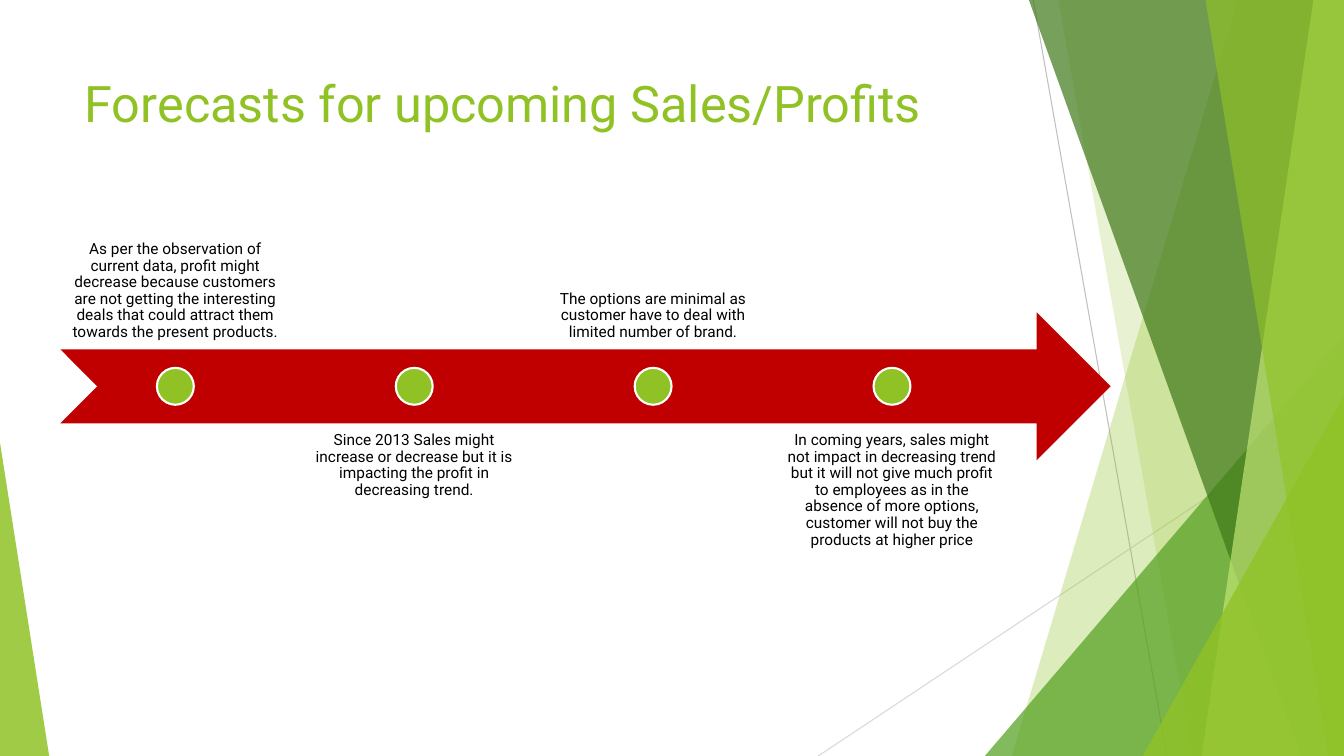
from lxml import etree
from pptx import Presentation
from pptx.dml.color import RGBColor
from pptx.enum.shapes import MSO_CONNECTOR, MSO_SHAPE
from pptx.enum.text import MSO_ANCHOR, MSO_AUTO_SIZE, PP_ALIGN
from pptx.oxml.ns import qn
from pptx.util import Cm, Pt

STRAIGHT = MSO_CONNECTOR.STRAIGHT
TRIANGLE = MSO_SHAPE.ISOSCELES_TRIANGLE
NOTCHED_ARROW = MSO_SHAPE.NOTCHED_RIGHT_ARROW
OVAL = MSO_SHAPE.OVAL
TOP, BOTTOM = MSO_ANCHOR.TOP, MSO_ANCHOR.BOTTOM
LEFT, CENTER = PP_ALIGN.LEFT, PP_ALIGN.CENTER
NO_AUTOFIT = MSO_AUTO_SIZE.NONE

LIME = RGBColor(0x90, 0xC2, 0x26)
PALE_LIME = RGBColor(0xC0, 0xE4, 0x74)
GREEN = RGBColor(0x54, 0xA0, 0x21)
DARK_GREEN = RGBColor(0x3F, 0x78, 0x19)
RED = RGBColor(0xC0, 0x00, 0x00)
BLACK = RGBColor(0, 0, 0)
WHITE = RGBColor(0xFF, 0xFF, 0xFF)
GRAY = RGBColor(0xBF, 0xBF, 0xBF)
LIGHT_GRAY = RGBColor(0xD9, 0xD9, 0xD9)

WIDTH, HEIGHT = 33.87, 19.05  # cm

FORECASTS = [
    "As per the observation of current data, profit might decrease because customers are not "
    "getting the interesting deals that could attract them towards the present products.",
    "Since 2013 Sales might increase or decrease but it is impacting the profit in "
    "decreasing trend.",
    "The options are minimal as customer have to deal with limited number of brand.",
    "In coming years, sales might not impact in decreasing trend but it will not give much "
    "profit to employees as in the absence of more options, customer will not buy the "
    "products at higher price",
]


class ForecastSlide:
    font = "Roboto"

    def __init__(self, slide):
        self.slide = slide
        self.shapes = slide.shapes

    def paint(self, shape, color, opacity=100, outline=None):
        """Fill a shape, with opacity in percent, and outline it or not."""
        shape.shadow.inherit = False
        shape.fill.solid()
        shape.fill.fore_color.rgb = color
        if opacity < 100:
            srgb = shape._element.spPr.find(qn("a:solidFill")).find(qn("a:srgbClr"))
            etree.SubElement(srgb, qn("a:alpha"), val=str(opacity * 1000))
        if outline is None:
            shape.line.fill.background()
        else:
            shape.line.color.rgb = outline
            shape.line.width = Pt(1.5)

    def set_text(self, frame, text, size, color, align, **frame_format):
        for name, value in frame_format.items():
            setattr(frame, name, value)
        frame.text = text
        paragraph = frame.paragraphs[0]
        paragraph.alignment = align
        font = paragraph.runs[0].font
        font.color.rgb = color
        for name, value in {"name": self.font, "size": Pt(size)}.items():
            setattr(font, name, value)
        return paragraph

    def title(self, text, *box):
        title = self.shapes.title
        title.left, title.top, title.width, title.height = map(Cm, box)
        self.set_text(title.text_frame, text, 36, LIME, LEFT, word_wrap=True,
                      auto_size=NO_AUTOFIT, vertical_anchor=TOP)

    def line(self, x1, y1, x2, y2, color):
        line = self.shapes.add_connector(STRAIGHT, Cm(x1), Cm(y1), Cm(x2), Cm(y2))
        line.line.color.rgb = color
        line.line.width = Pt(0.75)
        etree.SubElement(line._element.spPr, qn("a:effectLst"))

    def band(self, top_x, bottom_x, color, opacity):
        """Fill from a slanted left edge to the right side of the slide."""
        outline = self.shapes.build_freeform(Cm(top_x), 0, scale=1.0)
        corners = [(WIDTH, 0), (WIDTH, HEIGHT), (bottom_x, HEIGHT)]
        outline.add_line_segments([(Cm(x), Cm(y)) for x, y in corners], close=True)
        self.paint(outline.convert_to_shape(), color, opacity)

    def corner(self, left, width, height, apex, color, opacity):
        """Stand a right triangle on the bottom edge of the slide."""
        triangle = self.shape(TRIANGLE, left, HEIGHT - height, width, height, color, opacity)
        triangle.adjustments[0] = apex

    def shape(self, preset, left, top, width, height, color, opacity=100, outline=None):
        shape = self.shapes.add_shape(preset, Cm(left), Cm(top), Cm(width), Cm(height))
        self.paint(shape, color, opacity, outline)
        return shape

    def caption(self, text, left, top, width, height, anchor):
        box = self.shapes.add_textbox(Cm(left), Cm(top), Cm(width), Cm(height))
        margins = {f"margin_{side}": Cm(0.22) for side in ("left", "top", "right", "bottom")}
        paragraph = self.set_text(box.text_frame, text, 11, BLACK, CENTER, word_wrap=True,
                                  vertical_anchor=anchor, **margins)
        paragraph.line_spacing = 0.9


def draw_backdrop(page):
    page.line(26.04, 0, 29.41, HEIGHT, GRAY)
    page.line(WIDTH, 10.24, 20.62, HEIGHT, LIGHT_GRAY)
    page.band(31.19, 25.5, LIME, 30)
    page.band(26.67, 30.05, LIME, 20)
    page.corner(24.82, 9.05, 10.59, 1, GREEN, 72)
    page.band(25.93, 32.79, DARK_GREEN, 70)
    page.band(33.1, 30.28, PALE_LIME, 70)
    page.band(30.38, 33.48, LIME, 65)
    page.corner(28.8, 5.07, 9.07, 1, LIME, 80)
    page.corner(0, 1.24, 7.9, 0, LIME, 85)


def draw_timeline(page):
    arrow_left, arrow_top, arrow_width, arrow_height = 1.52, 7.87, 26.47, 3.73
    page.shape(NOTCHED_ARROW, arrow_left, arrow_top, arrow_width, arrow_height, RED)
    first_left, step, caption_width, dot = 1.55, 6.02, 5.74, 0.93
    for index, forecast in enumerate(FORECASTS):
        left = first_left + index * step
        top, anchor = (10.67, TOP) if index % 2 else (5.08, BOTTOM)
        page.caption(forecast, left, top, caption_width, arrow_height, anchor)
        page.shape(OVAL, left + (caption_width - dot) / 2,
                   arrow_top + (arrow_height - dot) / 2, dot, dot, LIME, outline=WHITE)


def main():
    deck = Presentation()
    deck.slide_width, deck.slide_height = Cm(WIDTH), Cm(HEIGHT)
    page = ForecastSlide(deck.slides.add_slide(deck.slide_layouts[5]))
    draw_backdrop(page)
    draw_timeline(page)
    page.title("Forecasts for upcoming Sales/Profits", 1.88, 1.7, 23.88, 3.66)
    deck.save("out.pptx")


if __name__ == "__main__":
    main()
